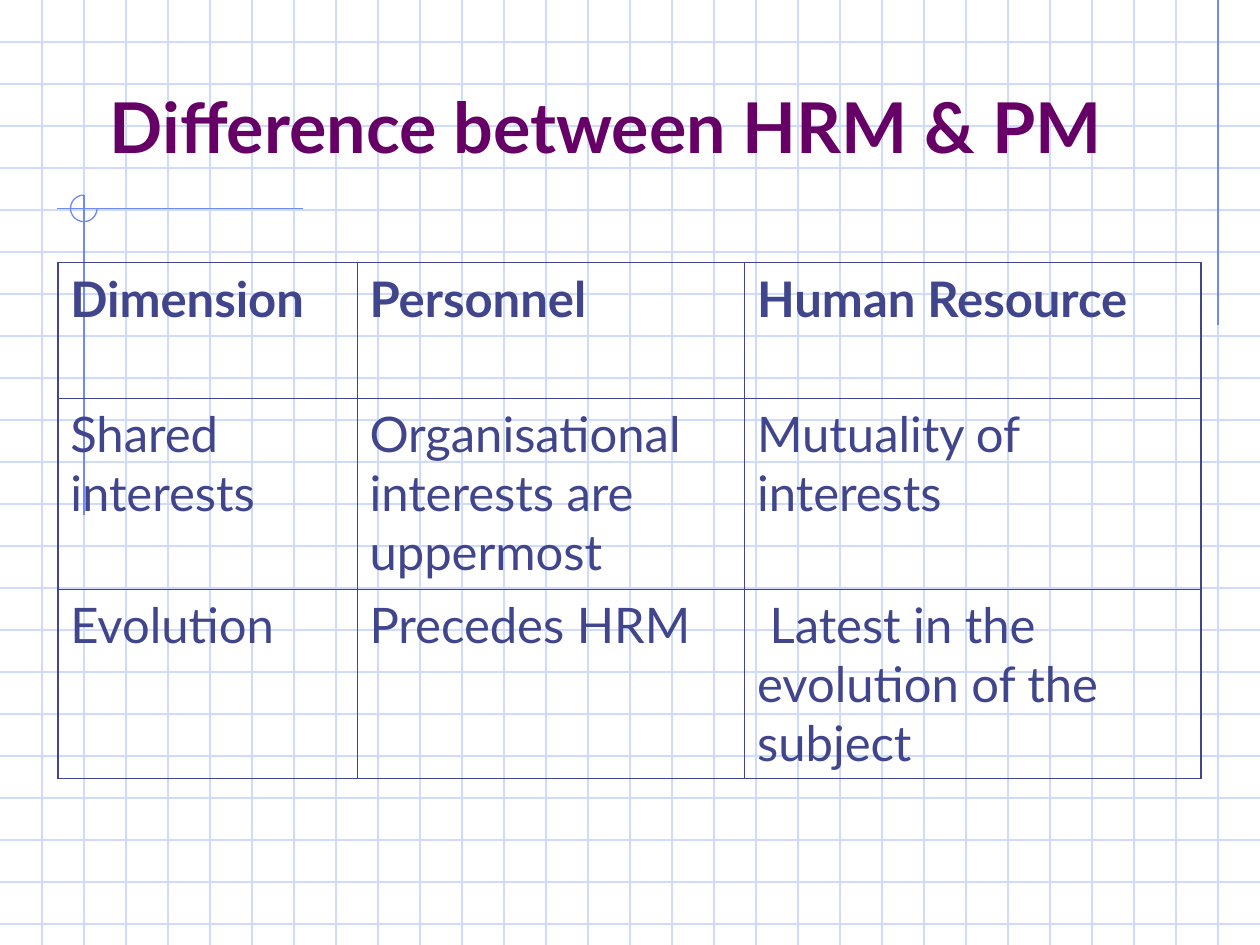
from lxml.etree import SubElement
from pptx import Presentation
from pptx.dml.color import RGBColor
from pptx.enum.shapes import MSO_CONNECTOR, MSO_SHAPE
from pptx.enum.text import MSO_ANCHOR, PP_ALIGN
from pptx.oxml import parse_xml
from pptx.oxml.ns import nsdecls, qn
from pptx.util import Pt

# Content
TITLE = "Difference between HRM & PM"
ROWS = [
    ("Dimension", "Personnel", "Human Resource"),
    ("Shared interests", "Organisational interests are uppermost",
     "Mutuality of interests"),
    ("Evolution", "Precedes HRM", " Latest in the evolution of the subject"),
]

# Format
FONT = "Lato"
GRID = RGBColor(0xCF, 0xDB, 0xFD)
ACCENT = RGBColor(0x6F, 0x89, 0xF7)
PURPLE = RGBColor(0x66, 0x00, 0x66)
INDIGO = RGBColor(0x40, 0x45, 0x8C)
WIDTH, HEIGHT, STEP = 720, 540, 24
COLUMN_WIDTHS = (171, 221.5, 261)
ROW_HEIGHTS = (77.5, 109, 108.3)
OUTER, INNER = 1.08, 0.45

deck = Presentation()
deck.slide_width, deck.slide_height = Pt(WIDTH), Pt(HEIGHT)
page = deck.slides.add_slide(deck.slide_layouts[6])


def add_line(x1, y1, x2, y2, color):
    line = page.shapes.add_connector(
        MSO_CONNECTOR.STRAIGHT, Pt(x1), Pt(y1), Pt(x2), Pt(y2))
    line.line.color.rgb = color
    line.line.width = Pt(0.75)
    SubElement(line._element.spPr, qn("a:effectLst"))


def write(frame, text, *, size, color, bold=False, align=PP_ALIGN.LEFT):
    frame.word_wrap = True
    para = frame.paragraphs[0]
    para.alignment = align
    span = para.add_run()
    span.text = text
    span.font.name = FONT
    span.font.size = Pt(size)
    span.font.bold = bold
    span.font.color.rgb = color


def set_borders(cell, widths):
    """Draw the left, right, top and bottom borders, in that order."""
    properties = cell._tc.get_or_add_tcPr()
    for index, (side, width) in enumerate(zip("LRTB", widths)):
        properties.insert(index, parse_xml(
            f'<a:ln{side} {nsdecls("a")} w="{Pt(width)}"><a:solidFill>'
            f'<a:srgbClr val="{INDIGO}"/></a:solidFill></a:ln{side}>'))


# Graph paper
for y in range(STEP, HEIGHT, STEP):
    add_line(0, y, WIDTH, y, GRID)
for x in range(STEP, WIDTH, STEP):
    add_line(x, 0, x, HEIGHT, GRID)

# Accent lines and the three-quarter circle where they cross
add_line(696, 0, 696, 186, ACCENT)
add_line(173, 119.3, 32.4, 119.3, ACCENT)
add_line(48, 111.5, 48, 294.5, ACCENT)
arc = page.shapes.add_shape(
    MSO_SHAPE.ARC, Pt(40.3), Pt(111.5), Pt(15.2), Pt(15.2))
arc.adjustments[0] = 0
arc.adjustments[1] = 162  # 270 degrees
arc.fill.background()
arc.line.color.rgb = ACCENT
arc.line.width = Pt(0.75)
arc.shadow.inherit = False

# Title
box = page.shapes.add_textbox(Pt(28.2), Pt(24), Pt(636), Pt(95))
box.text_frame.vertical_anchor = MSO_ANCHOR.MIDDLE
write(box.text_frame, TITLE, size=40, color=PURPLE, bold=True,
      align=PP_ALIGN.CENTER)

# Comparison table
table = page.shapes.add_table(
    len(ROWS), len(COLUMN_WIDTHS), Pt(33), Pt(150),
    Pt(sum(COLUMN_WIDTHS)), Pt(sum(ROW_HEIGHTS))).table
table.first_row = table.horz_banding = False
for column, width in zip(table.columns, COLUMN_WIDTHS):
    column.width = Pt(width)
last_row, last_column = len(ROWS) - 1, len(COLUMN_WIDTHS) - 1
for r, texts in enumerate(ROWS):
    table.rows[r].height = Pt(ROW_HEIGHTS[r])
    for c, text in enumerate(texts):
        cell = table.cell(r, c)
        cell.fill.background()
        write(cell.text_frame, text, size=28, color=INDIGO, bold=r == 0)
        on_edge = (c == 0, c == last_column, r == 0, r == last_row)
        set_borders(cell, [OUTER if edge else INNER for edge in on_edge])

deck.save("out.pptx")
